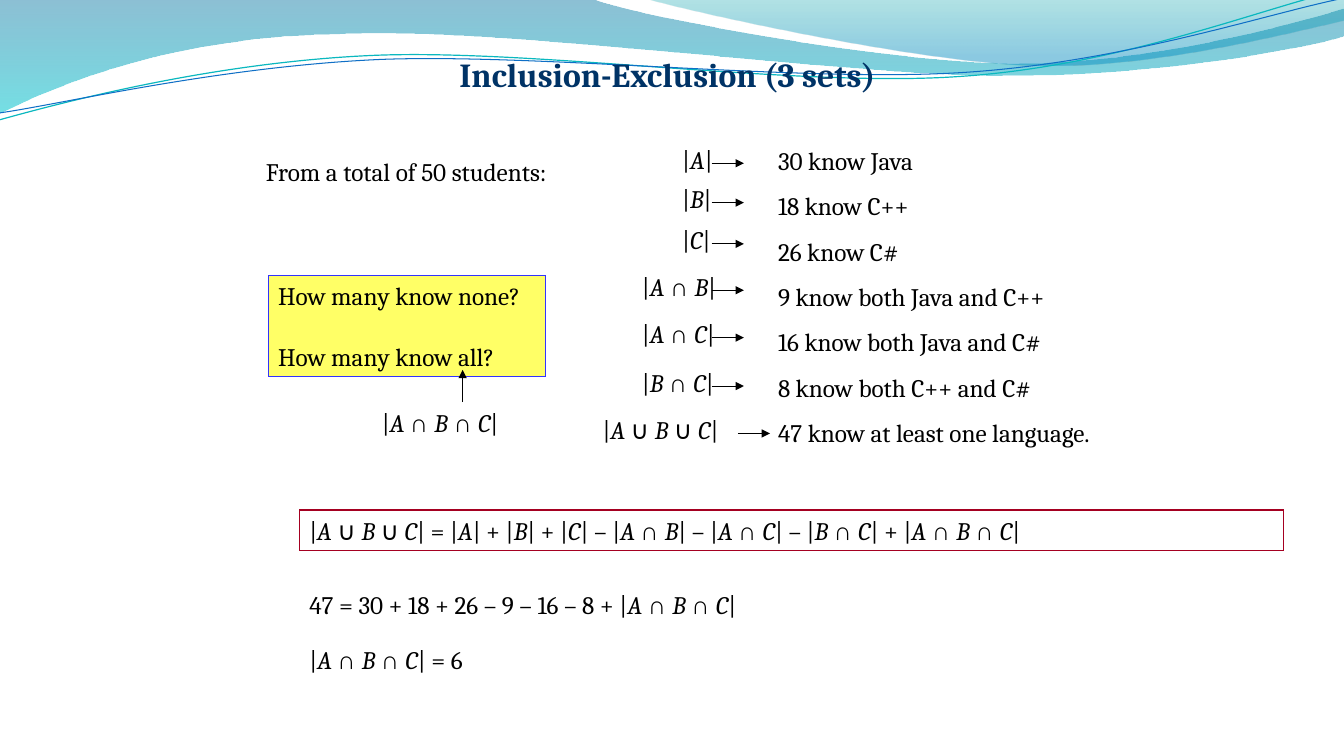
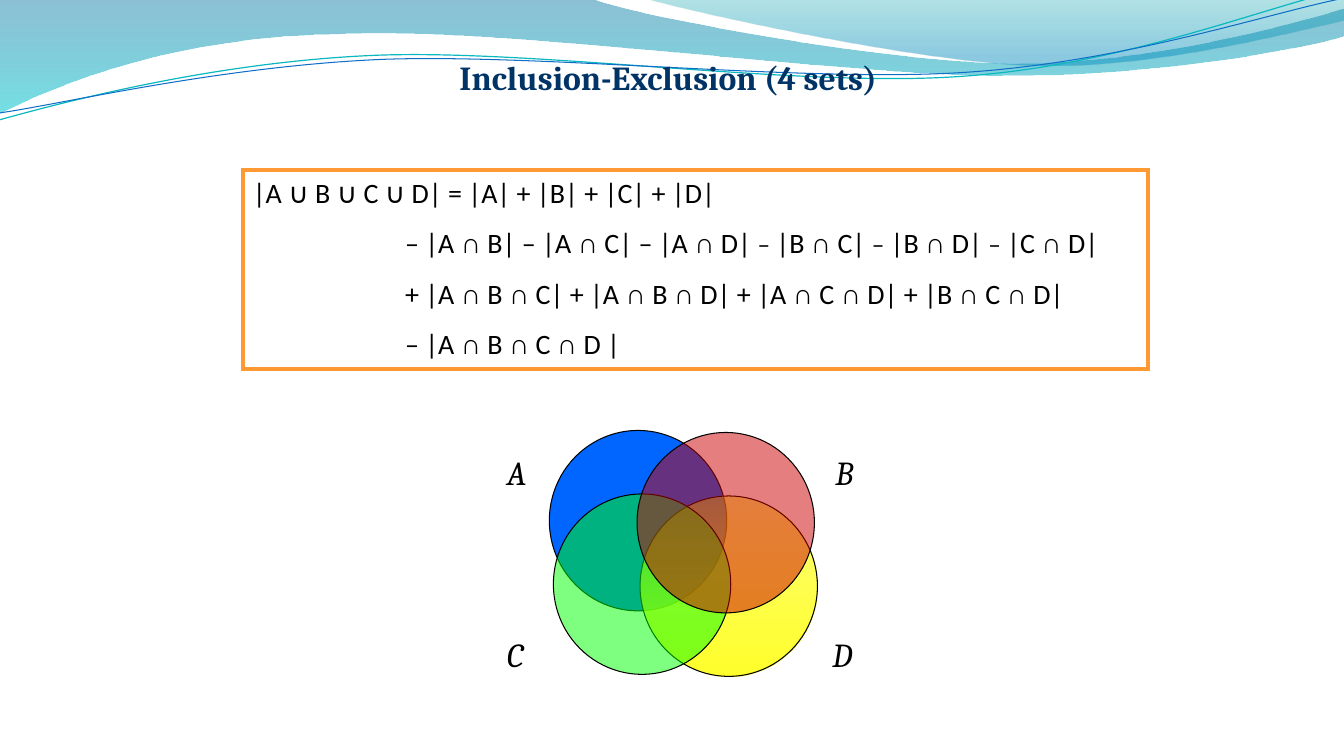
from pptx import Presentation
from pptx import util as u
from pptx.dml.color import RGBColor
from pptx.enum import shapes, text
from pptx.oxml.ns import qn
from lxml import etree

PX = 9144
BLACK, NAVY = "000000", "003366"
SYMBOL_FACES = {"∩": "Times New Roman", "∪": "Calibri"}
SMALL_DASH = "~"
colour = RGBColor.from_string


def paint(shape, stops):
    if len(stops) == 1:
        shape.fill.solid()
        shape.fill.fore_color.rgb = colour(stops[0][1])
    else:
        shape.fill.gradient()
        shape.fill.gradient_angle = 270
        for stop, (place, hue, opacity) in zip(shape.fill.gradient_stops, stops):
            stop.color.rgb = colour(hue)
            stop.position = place / 100
    for node, (place, hue, opacity) in zip(shape.element.spPr.iter(qn("a:srgbClr")), stops):
        if opacity < 100:
            etree.SubElement(node, qn("a:alpha")).set("val", str(opacity * 1000))


def write(shape, lines, size=18, face="Cambria", hue=BLACK, math=False, bold=False,
          wrap=False, spacing=None, before=0, indent=0):
    frame = shape.text_frame
    frame.word_wrap = wrap
    frame.auto_size = text.MSO_AUTO_SIZE.SHAPE_TO_FIT_TEXT
    frame.vertical_anchor = text.MSO_ANCHOR.TOP
    for number, line in enumerate(lines):
        para = frame.add_paragraph() if number else frame.paragraphs[0]
        para.alignment = text.PP_ALIGN.LEFT
        if number:
            para.line_spacing = spacing
            if before:
                para.space_before = u.Pt(before)
            if indent:
                para._p.get_or_add_pPr().set("marL", str(indent * PX))
        pieces = []
        for char in line:
            if math and pieces and char == " ":
                style = pieces[-1][0]
            else:
                points = 18 if char == SMALL_DASH else size
                style = SYMBOL_FACES.get(char, face), points, math and char.isalpha()
            if pieces and pieces[-1][0] == style:
                pieces[-1][1] += char
            else:
                pieces.append([style, char])
        for (name, points, italic), words in pieces:
            span = para.add_run()
            span.text = words.replace(SMALL_DASH, "–")
            span.font.name = name
            span.font.size = u.Pt(points)
            span.font.color.rgb = colour(hue)
            span.font.bold = bold
            span.font.italic = italic


deck = Presentation()
deck.slide_height = 750 * PX
deck.slide_width = deck.slide_height * 16 // 9
blank = deck.slide_layouts[6]
sets3, sets4 = [deck.slides.add_slide(blank) for _ in range(2)]

waves = [
    ([(0, 0), (587, -1), (634, 17, 885, 63, 1011, 63), (1138, 63, 1278, 26, 1333, 9),
      (1335, 36), (1311, 44, 1160, 76, 994, 75), (829, 75, 509, 28, 343, 34),
      (172, 36, 61, 83, -1, 113)],
     [(0, "0074A1", 45), (100, "00C6CF", 55)], None),
    ([(639, -1), (679, 11, 909, 62, 1025, 65), (1141, 69, 1282, 32, 1333, 21), (1333, 0)],
     [(0, "00A1A9", 30), (80, "008BBF", 45)], None),
    ([(-1, 119), (64, 101, 211, 62, 369, 55), (527, 48, 790, 87, 950, 76),
      (1110, 66, 1252, 8, 1331, -10)], None, ("0AB8BF", 0.85)),
    ([(0, 112), (63, 103, 218, 66, 378, 59), (537, 53, 796, 82, 955, 72),
      (1115, 62, 1255, 14, 1334, -2)], None, ("0F6FC6", 0.75)),
]
master_tree = deck.slide_master.element.cSld.spTree
for number, (route, stops, stroke) in enumerate(waves):
    vertices = [leg[n:n + 2] for leg in route for n in range(0, len(leg), 2)]
    builder = sets3.shapes.build_freeform(*vertices[0], scale=PX)
    builder.add_line_segments(vertices[1:], close=stops is not None)
    wave = builder.convert_to_shape()
    segments = iter(list(wave.element.spPr.iter(qn("a:lnTo"))))
    for leg in route[1:]:
        segment = next(segments)
        if len(leg) == 6:
            curve = etree.Element(qn("a:cubicBezTo"))
            segment.addprevious(curve)
            for part in (segment, next(segments), next(segments)):
                curve.append(part[0])
                part.getparent().remove(part)
    wave.shadow.inherit = False
    if stops:
        paint(wave, stops)
        wave.line.fill.background()
    else:
        wave.fill.background()
        wave.line.color.rgb = colour(stroke[0])
        wave.line.width = u.Pt(stroke[1])
    wave.element.nvSpPr.cNvPr.set("id", str(101 + number))
    master_tree.append(wave.element)

title = dict(size=24, hue=NAVY, bold=True)
symbol = dict(math=True)
letter = dict(size=24, math=True)
boxes = [
    (sets3, (446, 49, 456, 50), ["Inclusion-Exclusion (3 sets)"], title),
    (sets4, (446, 52, 458, 50), ["Inclusion-Exclusion (4 sets)"], title),
    (sets3, (254, 150, 317, 40), ["From a total of 50 students:"], {}),
    (sets3, (762, 139, 349, 308),
     ["30 know Java", "18 know C++", "26 know C#", "9 know both Java and C++",
      "16 know both Java and C#", "8 know both C++ and C#",
      "47 know at least one language."], dict(spacing=1.5)),
    (sets3, (369, 399, 145, 40), ["|A ∩ B ∩ C|"], symbol),
    (sets3, (297, 580, 471, 40), ["47 = 30 + 18 + 26 – 9 – 16 – 8 + |A ∩ B ∩ C|"], symbol),
    (sets3, (297, 634, 185, 40), ["|A ∩ B ∩ C| = 6"], symbol),
    (sets4, (493, 443, 42, 50), ["A"], letter),
    (sets4, (819, 443, 40, 50), ["B"], letter),
    (sets4, (493, 624, 42, 50), ["C"], letter),
    (sets4, (816, 624, 45, 50), ["D"], letter),
]
arrows = [(459, 399, 459, 367)]
for term, left, top, width, start in [
    ("|A|", 667, 138, 54, 706),
    ("|B|", 667, 177, 53, 706),
    ("|C|", 667, 218, 54, 706),
    ("|A ∩ B|", 627, 264, 99, 706),
    ("|A ∩ C|", 627, 311, 100, 706),
    ("|B ∩ C|", 627, 359, 99, 706),
    ("|A ∪ B ∪ C|", 588, 406, 150, 732),
]:
    boxes.append((sets3, (left, top, width, 40), [term], symbol))
    arrows.append((start, top + 24, start + 32, top + 24))

frames = [
    (sets3, (266, 273, 275, 101), "FFFF66", "3333FF", 0.75,
     ["How many know none?", "How many know all?"], dict(before=22)),
    (sets3, (297, 506, 976, 40), None, "A50021", 0.75,
     ["|A ∪ B ∪ C| = |A| + |B| + |C| – |A ∩ B| – |A ∩ C| – |B ∩ C| + |A ∩ B ∩ C|"],
     dict(math=True, wrap=True)),
    (sets4, (241, 169, 898, 197), None, "FF9933", 3,
     ["|A ∪ B ∪ C ∪ D| = |A| + |B| + |C| + |D|",
      "– |A ∩ B| – |A ∩ C| – |A ∩ D| ~ |B ∩ C| ~ |B ∩ D| ~ |C ∩ D|",
      "+ |A ∩ B ∩ C| + |A ∩ B ∩ D| + |A ∩ C ∩ D| + |B ∩ C ∩ D|",
      "– |A ∩ B ∩ C ∩ D |"],
     dict(size=20, face="Calibri", spacing=1.5, indent=151, wrap=True)),
]
for page, place, fill, edge, weight, lines, style in frames:
    panel = page.shapes.add_shape(shapes.MSO_SHAPE.RECTANGLE, *[n * PX for n in place])
    panel.shadow.inherit = False
    if fill:
        paint(panel, [(0, fill, 100)])
    else:
        panel.fill.background()
    panel.line.color.rgb = colour(edge)
    panel.line.width = u.Pt(weight)
    corner = etree.SubElement(panel.element.spPr.find(qn("a:ln")), qn("a:miter"))
    corner.set("lim", "800000")
    write(panel, lines, **style)

for page, place, lines, style in boxes:
    write(page.shapes.add_textbox(*[n * PX for n in place]), lines, **style)

for ends in arrows:
    arrow = sets3.shapes.add_connector(shapes.MSO_CONNECTOR.STRAIGHT, *[n * PX for n in ends])
    arrow.line.color.rgb = colour(BLACK)
    arrow.line.width = u.Pt(0.75)
    props = arrow.element.spPr
    etree.SubElement(props.find(qn("a:ln")), qn("a:tailEnd")).set("type", "triangle")
    etree.SubElement(props, qn("a:effectLst"))

for left, top, stops in [
    (545, 427, [(0, "0066FF", 100)]),
    (635, 492, [(0, "FFFF00", 50), (100, "FFFF2A", 100)]),
    (549, 490, [(0, "00FF00", 50)]),
    (632, 429, [(0, "CC0000", 50)]),
]:
    circle = sets4.shapes.add_shape(shapes.MSO_SHAPE.OVAL, left * PX, top * PX, 176 * PX, 179 * PX)
    circle.shadow.inherit = False
    paint(circle, stops)
    circle.line.color.rgb = colour(BLACK)
    circle.line.width = u.Pt(0.75)

deck.save("out.pptx")
